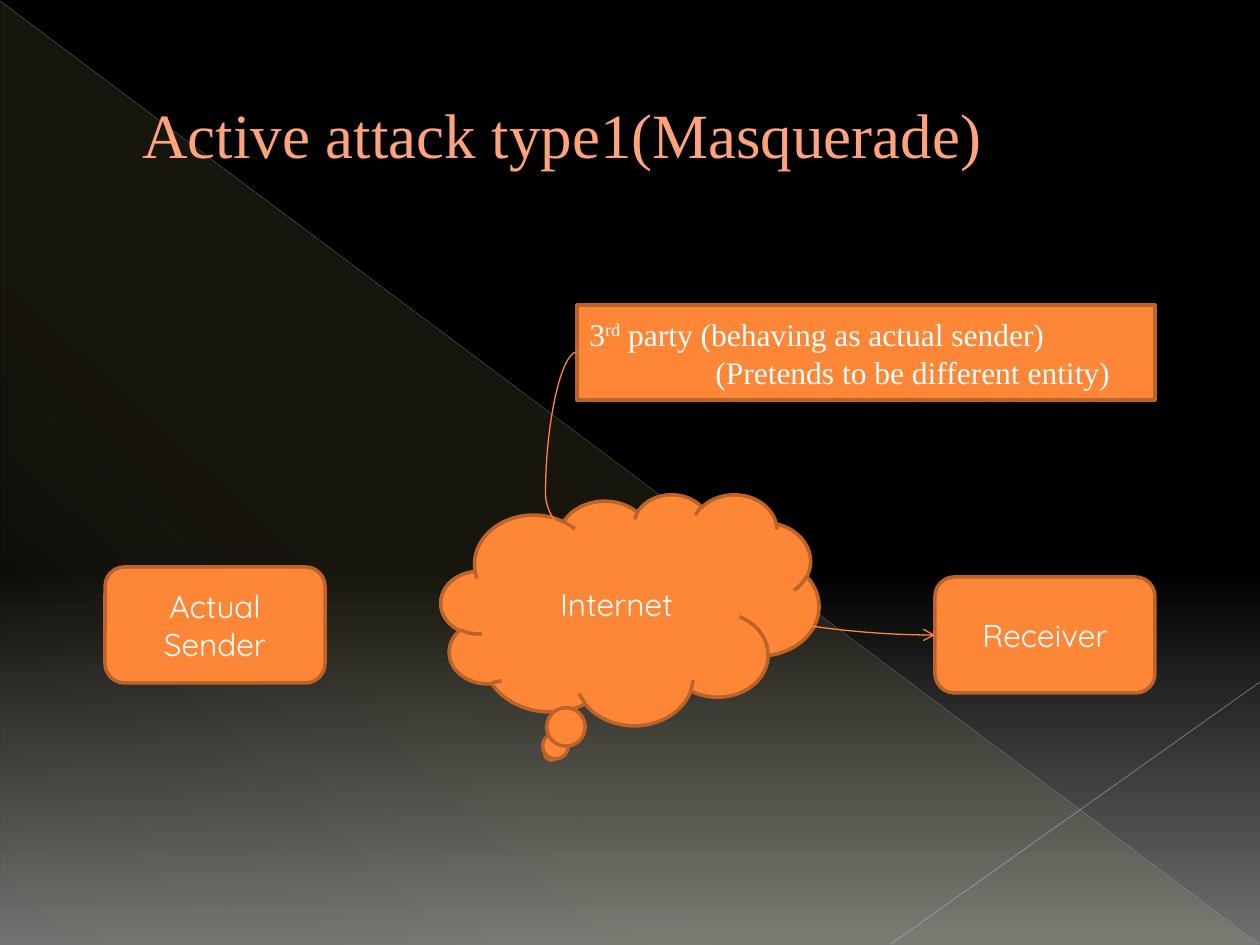
from pptx import Presentation
from pptx import util as u
from pptx.dml.color import RGBColor
from pptx.enum import shapes, text
from pptx.oxml.ns import qn
from lxml import etree

SCALE = 914400 / 126
SERIF = "Times New Roman"
SANS = "Quicksand"

ORANGE = RGBColor(0xFE, 0x86, 0x37)
BROWN = RGBColor(0xBC, 0x63, 0x29)
PEACH = RGBColor(0xFF, 0xA3, 0x7C)
WHITE = RGBColor(0xFF, 0xFF, 0xFF)
BLACK = RGBColor(0, 0, 0)
GREY = RGBColor(0x70, 0x70, 0x70)
CREAM = RGBColor(0xFF, 0xF3, 0x9D)
SILVER = RGBColor(0xBA, 0xBD, 0xC4)
MIST = RGBColor(0xC1, 0xC4, 0xCA)
FLAME = RGBColor(0xFF, 0x86, 0x36)


def px(*sizes):
    return [u.Emu(round(size * SCALE)) for size in sizes]


def sub(parent, tag, **attrs):
    child = etree.SubElement(parent, qn(tag))
    for name, value in attrs.items():
        child.set(name, str(value))
    return child


def fade(owner, fill, stops, angle):
    """Give owner a gradient of (place, colour, opacity) stops, in percent."""
    fill.solid()
    solid = next(owner.iter(qn("a:solidFill")))
    grad = etree.Element(qn("a:gradFill"))
    solid.getparent().replace(solid, grad)
    group = sub(grad, "a:gsLst")
    for place, colour, alpha in stops:
        stop = sub(group, "a:gs", pos=place * 1000)
        tint = sub(stop, "a:srgbClr", val=colour)
        if alpha < 100:
            sub(tint, "a:alpha", val=alpha * 1000)
    sub(grad, "a:lin", ang=angle * 60000, scaled=0)


def add_line(slide, kind, ends, colour, width, alpha=100):
    line = slide.shapes.add_connector(kind, *px(*ends))
    line.line.color.rgb = colour
    line.line.width = u.Pt(width)
    if alpha < 100:
        tint = next(line.element.iter(qn("a:srgbClr")))
        sub(tint, "a:alpha", val=alpha * 1000)
    sub(line.element.spPr, "a:effectLst")
    return line


def add_back(slide):
    fade(slide.element, slide.background.fill,
         [(0, BLACK, 100), (60, BLACK, 100), (100, GREY, 100)], 90)
    wedge = slide.shapes.add_shape(
        shapes.MSO_SHAPE.RIGHT_TRIANGLE, *px(1, 2, 1258, 943))
    wedge.shadow.inherit = False
    wedge.line.fill.background()
    fade(wedge.element.spPr, wedge.fill,
         [(0, CREAM, 10), (70, CREAM, 8), (100, CREAM, 1)], 133)
    straight = shapes.MSO_CONNECTOR.STRAIGHT
    add_line(slide, straight, (0, 1, 1259, 944), SILVER, 0.39, 35)
    add_line(slide, straight, (1260, 682, 891, 944), MIST, 0.47, 45)


def style(para, size, face, colour):
    para.font.size = u.Pt(size)
    para.font.name = face
    para.font.color.rgb = colour


def add_title(slide, words):
    frame = slide.shapes.add_textbox(*px(63, 37, 1134, 193)).text_frame
    frame.word_wrap = True
    frame.vertical_anchor = text.MSO_ANCHOR.MIDDLE
    para = frame.paragraphs[0]
    para.text = words
    style(para, 36, SERIF, PEACH)
    para._p.get_or_add_pPr().set("marL", str(px(67)[0]))


def add_node(slide, kind, place, words=""):
    node = slide.shapes.add_shape(kind, *px(*place))
    node.shadow.inherit = False
    node.fill.solid()
    node.fill.fore_color.rgb = ORANGE
    node.line.color.rgb = BROWN
    node.line.width = u.Pt(2)
    frame = node.text_frame
    frame.word_wrap = True
    frame.vertical_anchor = text.MSO_ANCHOR.MIDDLE
    para = frame.paragraphs[0]
    para.text = words
    para.alignment = text.PP_ALIGN.CENTER
    style(para, 18, SANS, WHITE)
    return node


def add_party(slide):
    node = add_node(slide, shapes.MSO_SHAPE.RECTANGLE, (577, 305, 578, 95))
    first = node.text_frame.paragraphs[0]
    for words in ("3", "rd", " party (behaving as actual sender)"):
        first.add_run().text = words
    first.runs[1]._r.get_or_add_rPr().set("baseline", "30000")
    second = node.text_frame.add_paragraph()
    second.text = "(Pretends to be different entity)"
    second._p.get_or_add_pPr().set("marL", str(px(126)[0]))
    for para in (first, second):
        para.alignment = text.PP_ALIGN.LEFT
        style(para, 18, SERIF, WHITE)


def add_curve(slide):
    curve = add_line(slide, shapes.MSO_CONNECTOR.CURVE,
                     (577, 352, 935, 635), FLAME, 0.75)
    sub(curve.get_or_add_ln(), "a:tailEnd", type="arrow")
    guides = next(curve.element.iter(qn("a:avLst")))
    sub(guides, "a:gd", name="adj1", fmla="val -8800")


def main():
    deck = Presentation()
    deck.slide_width, deck.slide_height = px(1260, 945)
    slide = deck.slides.add_slide(deck.slide_layouts[6])
    add_back(slide)
    add_title(slide, "Active attack type1(Masquerade)")
    kinds = shapes.MSO_SHAPE
    add_node(slide, kinds.CLOUD_CALLOUT, (441, 494, 378, 231), "Internet")
    for left, top, words in ((105, 567, "Actual Sender"),
                             (935, 577, "Receiver")):
        add_node(slide, kinds.FLOWCHART_ALTERNATE_PROCESS,
                 (left, top, 220, 116), words)
    add_party(slide)
    add_curve(slide)
    deck.save("out.pptx")


if __name__ == "__main__":
    main()
